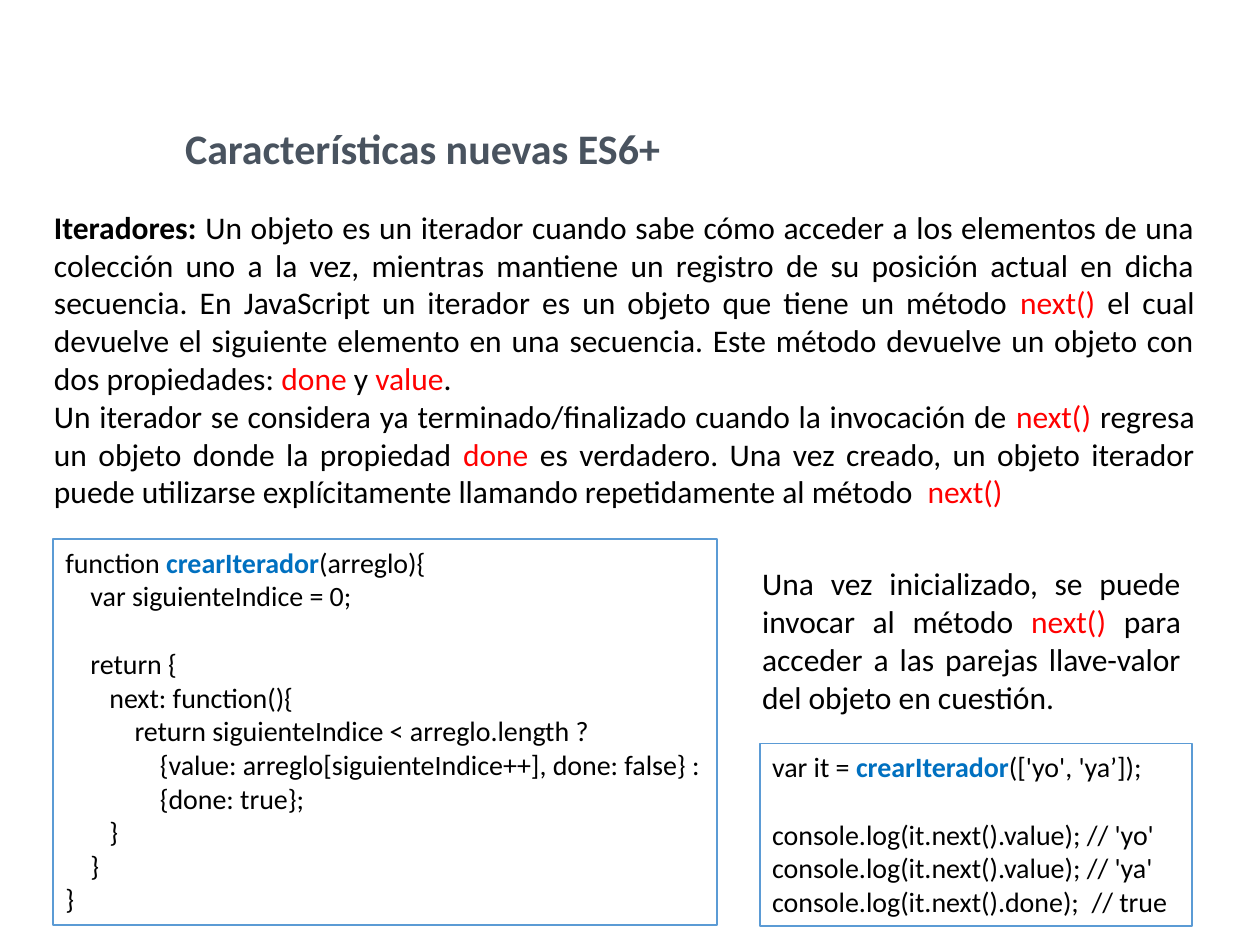
from pptx import Presentation
from pptx.dml.color import RGBColor
from pptx.enum.shapes import MSO_SHAPE
from pptx.enum.text import MSO_ANCHOR, PP_ALIGN
from pptx.util import Inches, Pt

RECT = MSO_SHAPE.RECTANGLE
TOP = MSO_ANCHOR.TOP
LEFT, JUST = PP_ALIGN.LEFT, PP_ALIGN.JUSTIFY

FONT = "Calibri"
COLORS = {"text": "000000", "title": "49535F", "red": "FF0000",
          "blue": "0070C0", "line": "5B9BD5", "fill": "FFFFFF"}
# A piece between bars may start with a mark: (colour, bold)
MARKS = {"#": ("red", False), "@": ("blue", True), "!": ("text", True)}
STEP = 0.05   # width of one indent column, inches
GAP = 19.5    # height of one code line, points

TITLE = "Características nuevas ES6+"
INTRO = [
    "!Iteradores: |Un objeto es un iterador cuando sabe cómo acceder a los "
    "elementos de una colección uno a la vez, mientras mantiene un registro "
    "de su posición actual en dicha secuencia. En JavaScript un iterador es "
    "un objeto que tiene un método |#next() |el cual devuelve el siguiente "
    "elemento en una secuencia. Este método devuelve un objeto con dos "
    "propiedades: |#done| y |#value|.",
    "Un iterador se considera ya terminado/finalizado cuando la invocación "
    "de |#next() |regresa un objeto donde la propiedad |#done| es verdadero. "
    "Una vez creado, un objeto iterador puede utilizarse explícitamente "
    "llamando repetidamente al método  |#next()",
]
USAGE = ["Una vez inicializado, se puede invocar al método |#next() |para "
         "acceder a las parejas llave-valor del objeto en cuestión."]
# Code lines: (indent columns, blank lines before, text)
MAKER = [
    (0, 0, "function |@crearIterador|(arreglo){"),
    (4, 0, "var siguienteIndice = 0;"),
    (4, 1, "return {"),
    (7, 0, "next: function(){"),
    (11, 0, "return siguienteIndice < arreglo.length ?"),
    (15, 0, "{value: arreglo[siguienteIndice++], done: false} :"),
    (15, 0, "{done: true};"),
    (7, 0, "}"),
    (4, 0, "}"),
    (0, 0, "}"),
]
CALLS = [
    (0, 0, "var it = |@crearIterador|(['yo', 'ya’]);"),
    (0, 1, "console.log(it.next().value); // 'yo'"),
    (0, 0, "console.log(it.next().value); // 'ya'"),
    (0, 0, "console.log(it.next().done);  // true"),
]


def rgb(name):
    return RGBColor.from_string(COLORS[name])


def add_para(frame, first, text, size, align, color="text", bold=False):
    para = frame.paragraphs[0] if first else frame.add_paragraph()
    para.alignment = align
    font = para.font
    font.name, font.size, font.bold = FONT, Pt(size), bold
    font.color.rgb = rgb(color)
    for piece in text.split("|"):
        run = para.add_run()
        mark = MARKS.get(piece[0])
        run.text = piece[1:] if mark else piece
        if mark:
            run.font.color.rgb = rgb(mark[0])
            run.font.bold = mark[1]
    return para


def add_text(slide, area, lines, size=18, align=JUST, **look):
    box = slide.shapes.add_textbox(*map(Inches, area))
    frame = box.text_frame
    frame.word_wrap = True
    for i, text in enumerate(lines):
        add_para(frame, i == 0, text, size, align, **look)


def add_code(slide, area, lines):
    box = slide.shapes.add_shape(RECT, *map(Inches, area))
    box.shadow.inherit = False
    box.fill.solid()
    box.fill.fore_color.rgb = rgb("fill")
    box.line.color.rgb = rgb("line")
    box.line.width = Pt(1)
    frame = box.text_frame
    frame.word_wrap = True
    frame.vertical_anchor = TOP
    for i, (cols, blank, text) in enumerate(lines):
        para = add_para(frame, i == 0, text, 16, LEFT)
        para.space_before = Pt(GAP * blank)
        props = para._p.get_or_add_pPr()
        props.set("marL", str(Inches(STEP * cols)))
        props.set("indent", "0")


def main():
    deck = Presentation()
    deck.slide_width, deck.slide_height = Inches(10), Inches(7.5)
    slide = deck.slides.add_slide(deck.slide_layouts[6])

    # Heading and explanation
    add_text(slide, (0.33, 1.6, 9.25, 2.52), INTRO)
    add_text(slide, (1.37, 0.92, 7.55, 0.5), [TITLE], 24, LEFT,
             color="title", bold=True)

    # Code samples and the note between them
    add_code(slide, (0.42, 4.28, 5.27, 3.06), MAKER)
    add_code(slide, (6.03, 5.9, 3.43, 1.45), CALLS)
    add_text(slide, (5.95, 4.43, 3.52, 1.31), USAGE)

    deck.save("out.pptx")


main()
